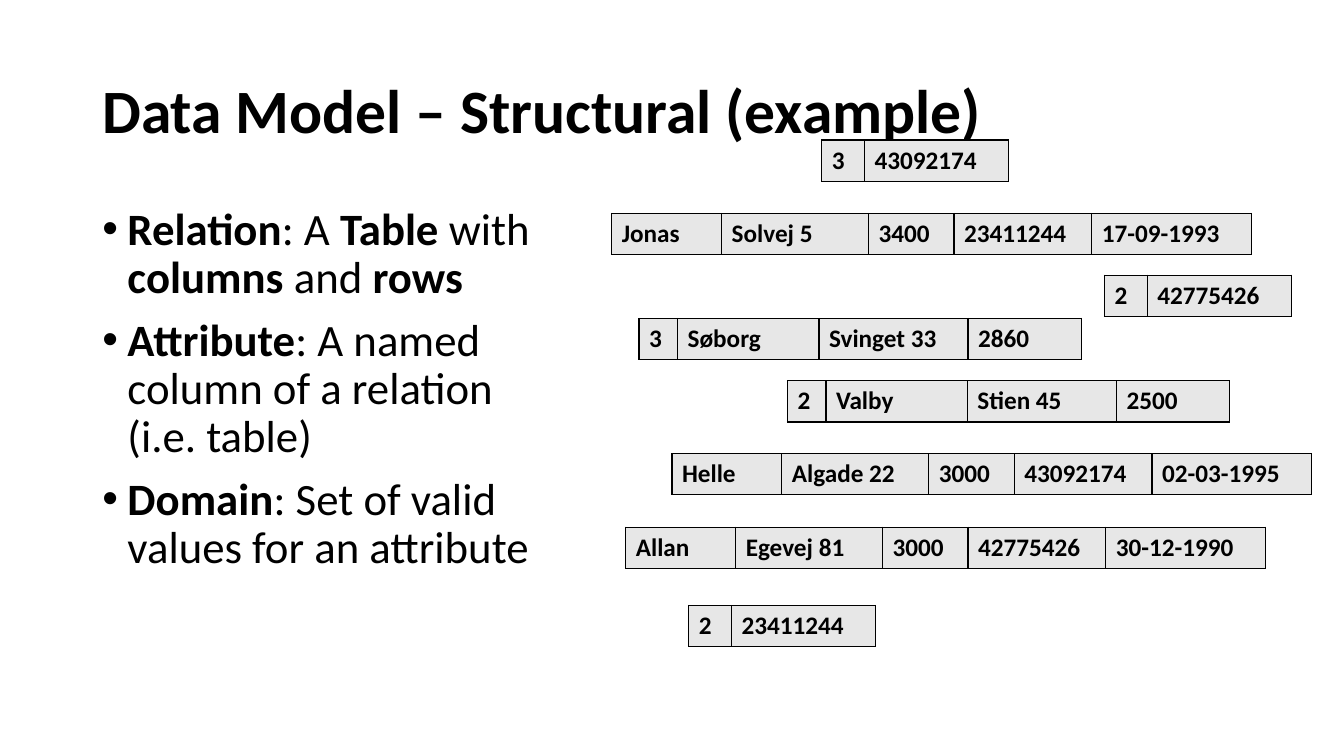
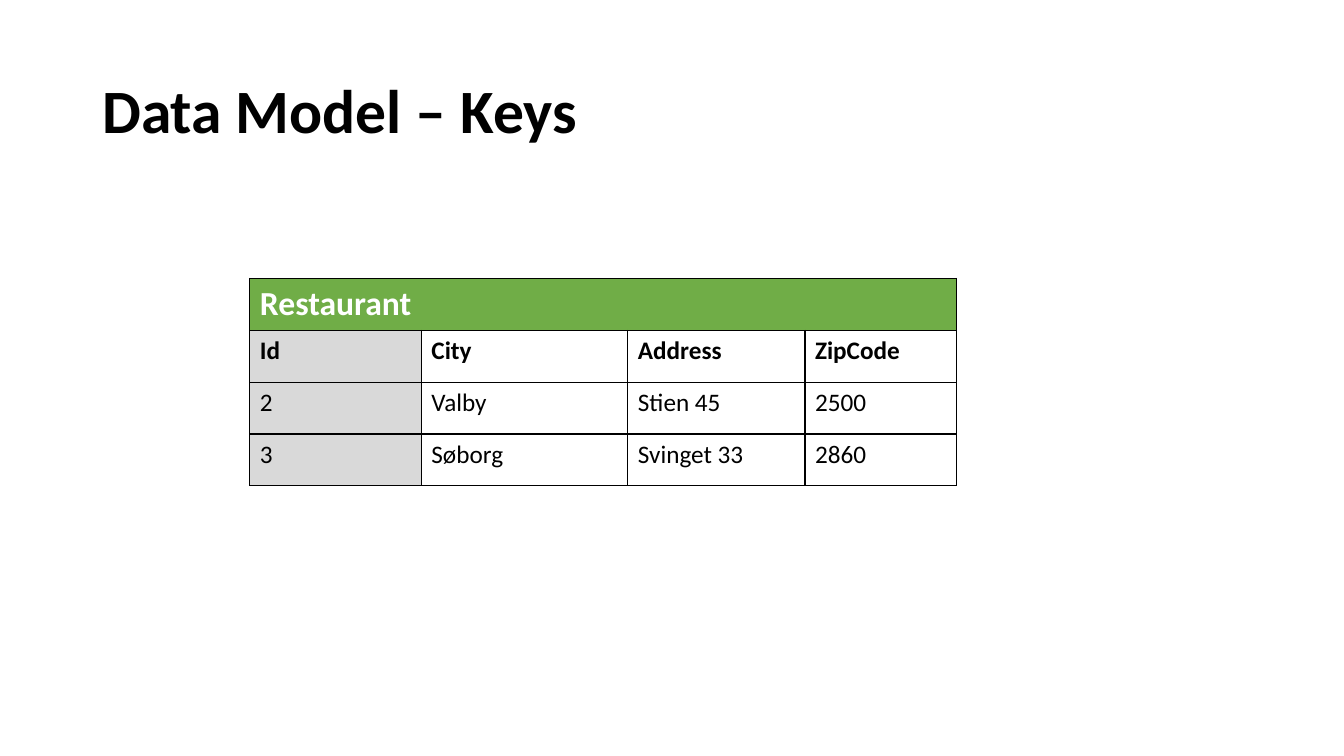
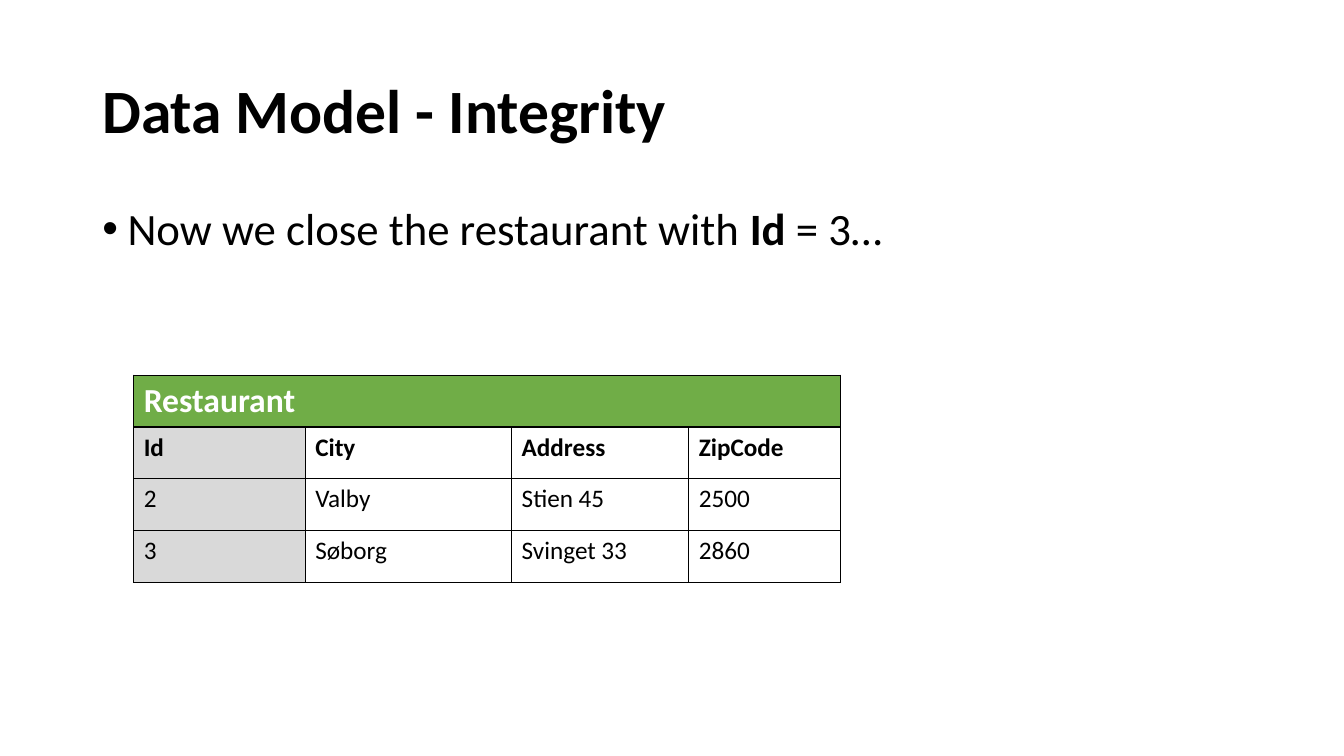
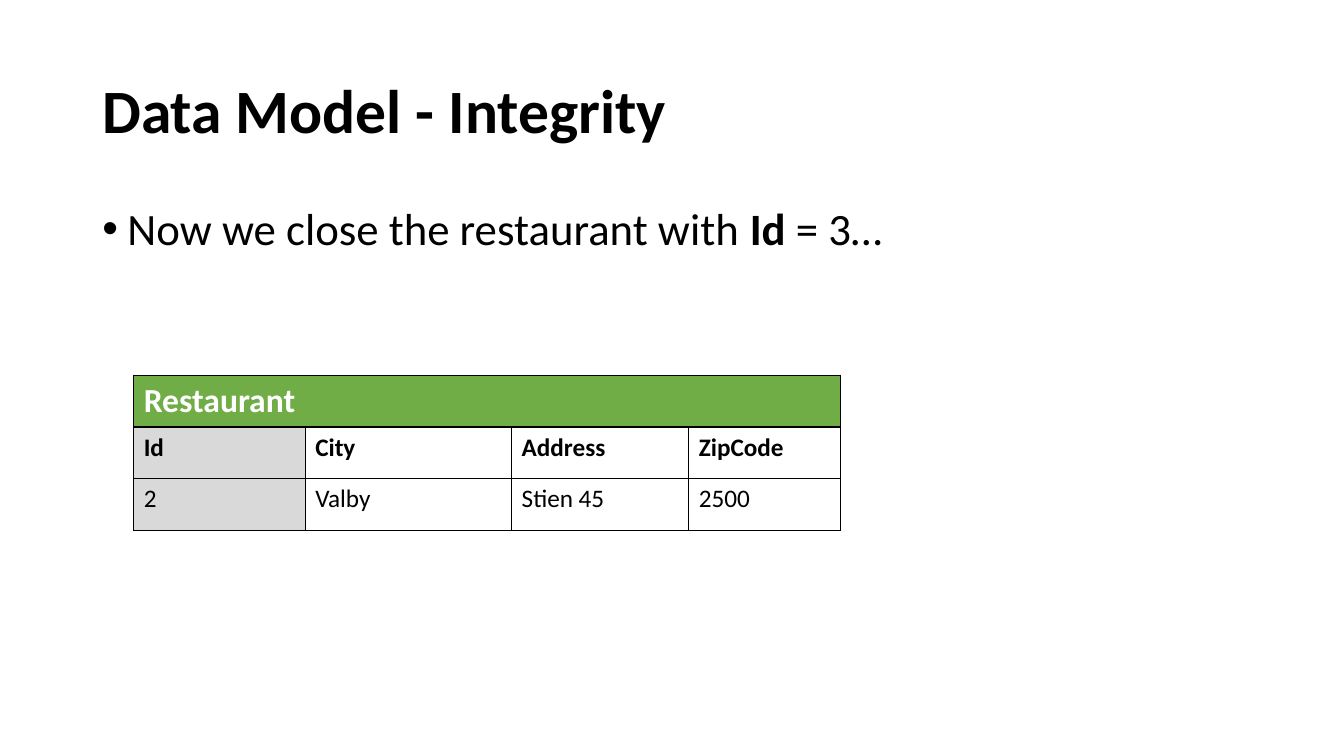
import dataclasses

import lxml.etree
import pptx
import pptx.dml.color
import pptx.enum.text
import pptx.oxml.ns
import pptx.util

Pt = pptx.util.Pt
qn = pptx.oxml.ns.qn


@dataclasses.dataclass(frozen=True)
class Theme:
    font: str = "Calibri"
    ink: str = "000000"
    paper: str = "FFFFFF"
    accent: str = "70AD47"
    key_fill: str = "D9D9D9"
    record_fill: str = "E7E7E7"
    title_size: int = 44
    body_size: int = 32
    heading_size: int = 24
    cell_size: int = 18
    border: int = 1


THEME = Theme()

MARGIN = 66
CONTENT_WIDTH = 828
BULLET_INDENT = 18
RECORD_HEIGHT = 29.5
ROW_HEIGHT = 37

# Column widths by kind of record
PERSON = [78.5, 105, 61, 98.5, 114]
PLACE = [27.5, 101, 106.5, 81]
RATING = [30.5, 103]
RESTAURANT = [122.5, 147.5, 126.5, 108.5]

# Loose records: left, top, column widths, values
RECORDS = [
    (437, 152.5, PERSON, ["Jonas", "Solvej 5", "3400", "23411244", "17-09-1993"]),
    (480, 324, PERSON, ["Helle", "Algade 22", "3000", "43092174", "02-03-1995"]),
    (447, 376.5, PERSON, ["Allan", "Egevej 81", "3000", "42775426", "30-12-1990"]),
    (456.5, 227.5, PLACE, ["3", "Søborg", "Svinget 33", "2860"]),
    (562.5, 272, PLACE, ["2", "Valby", "Stien 45", "2500"]),
    (492, 432.5, RATING, ["2", "23411244"]),
    (789, 196.5, RATING, ["2", "42775426"]),
    (587, 100, RATING, ["3", "43092174"]),
]

RESTAURANT_COLUMNS = ["Id", "City", "Address", "ZipCode"]
VALBY = ["2", "Valby", "Stien 45", "2500"]
SOBORG = ["3", "Søborg", "Svinget 33", "2860"]

DEFINITIONS = [
    "**Relation**: A **Table** with **columns** and **rows**",
    "**Attribute**: A named column of a relation (i.e. table)",
    "**Domain**: Set of valid values for an attribute",
]
CLOSING = ["Now we close the restaurant with **Id** = 3…"]


def style_font(font, size, color, bold=None):
    font.name = THEME.font
    font.size = Pt(size)
    font.bold = bold
    font.color.rgb = pptx.dml.color.RGBColor.from_string(color)


def add_text_frame(page, left, top, width, height):
    box = page.shapes.add_textbox(Pt(left), Pt(top), Pt(width), Pt(height))
    box.text_frame.word_wrap = True
    return box.text_frame


def add_page(deck, title):
    """Add a blank page with the shared title."""
    page = deck.slides.add_slide(deck.slide_layouts[6])
    frame = add_text_frame(page, MARGIN, 29, CONTENT_WIDTH, 104)
    frame.vertical_anchor = pptx.enum.text.MSO_ANCHOR.MIDDLE
    para = frame.paragraphs[0]
    para.text = title
    para.line_spacing = 0.9
    style_font(para.font, THEME.title_size, THEME.ink, bold=True)
    return page


def set_bullet(para):
    properties = para._p.get_or_add_pPr()
    properties.set("marL", str(Pt(BULLET_INDENT)))
    properties.set("indent", str(-Pt(BULLET_INDENT)))
    lxml.etree.SubElement(properties, qn("a:buFont"), typeface="Arial")
    lxml.etree.SubElement(properties, qn("a:buChar"), char="•")


def add_bullets(page, items, width, height):
    """Add a bulleted list; words between ** marks are bold."""
    frame = add_text_frame(page, MARGIN, 144, width, height)
    for index, item in enumerate(items):
        para = frame.add_paragraph() if index else frame.paragraphs[0]
        set_bullet(para)
        para.line_spacing = 0.9
        para.space_before = Pt(10)
        style_font(para.font, THEME.body_size, THEME.ink)
        for position, words in enumerate(item.split("**")):
            if words:
                span = para.add_run()
                span.text = words
                span.font.bold = position % 2 == 1


def set_borders(cell):
    properties = cell._tc.get_or_add_tcPr()
    for side in ("a:lnL", "a:lnR", "a:lnT", "a:lnB"):
        line = lxml.etree.SubElement(properties, qn(side), w=str(Pt(THEME.border)))
        fill = lxml.etree.SubElement(line, qn("a:solidFill"))
        lxml.etree.SubElement(fill, qn("a:srgbClr"), val=THEME.ink)


def fill_cell(cell, text, fill, size=THEME.cell_size, color=THEME.ink, bold=False):
    set_borders(cell)
    cell.fill.solid()
    cell.fill.fore_color.rgb = pptx.dml.color.RGBColor.from_string(fill)
    para = cell.text_frame.paragraphs[0]
    para.text = text
    style_font(para.font, size, color, bold)


def add_grid(page, left, top, widths, row_count, row_height):
    """Add a table without banding, with the given column widths."""
    frame = page.shapes.add_table(
        row_count, len(widths), Pt(left), Pt(top),
        Pt(sum(widths)), Pt(row_count * row_height))
    table = frame.table
    table.first_row = False
    table.horz_banding = False
    for column, width in zip(table.columns, widths):
        column.width = Pt(width)
    for row in table.rows:
        row.height = Pt(row_height)
    return table


def add_record(page, left, top, widths, values):
    table = add_grid(page, left, top, widths, 1, RECORD_HEIGHT)
    for column, value in enumerate(values):
        fill_cell(table.cell(0, column), value, THEME.record_fill, bold=True)


def add_restaurants(page, left, top, restaurants):
    rows = [RESTAURANT_COLUMNS] + restaurants
    table = add_grid(page, left, top, RESTAURANT, len(rows) + 1, ROW_HEIGHT)

    # Heading across all columns
    last = len(RESTAURANT) - 1
    heading = table.cell(0, 0)
    heading.merge(table.cell(0, last))
    fill_cell(heading, "Restaurant", THEME.accent, THEME.heading_size,
              THEME.paper, bold=True)
    for column in range(1, last + 1):
        set_borders(table.cell(0, column))

    # Column names and values, with the key column shaded
    for row, values in enumerate(rows, start=1):
        for column, value in enumerate(values):
            fill = THEME.paper if column else THEME.key_fill
            fill_cell(table.cell(row, column), value, fill, bold=row == 1)


def main():
    deck = pptx.Presentation()
    deck.slide_width, deck.slide_height = Pt(960), Pt(540)

    # Structure
    page = add_page(deck, "Data Model – Structural (example)")
    add_bullets(page, DEFINITIONS, 329, 343)
    for record in RECORDS:
        add_record(page, *record)

    # Keys
    page = add_page(deck, "Data Model – Keys")
    add_restaurants(page, 178.5, 199, [VALBY, SOBORG])

    # Integrity, before and after the closing
    for width, restaurants in ((838, [VALBY, SOBORG]), (CONTENT_WIDTH, [VALBY])):
        page = add_page(deck, "Data Model - Integrity")
        add_bullets(page, CLOSING, width, 96)
        add_restaurants(page, 95.5, 268, restaurants)

    deck.save("out.pptx")


if __name__ == "__main__":
    main()
